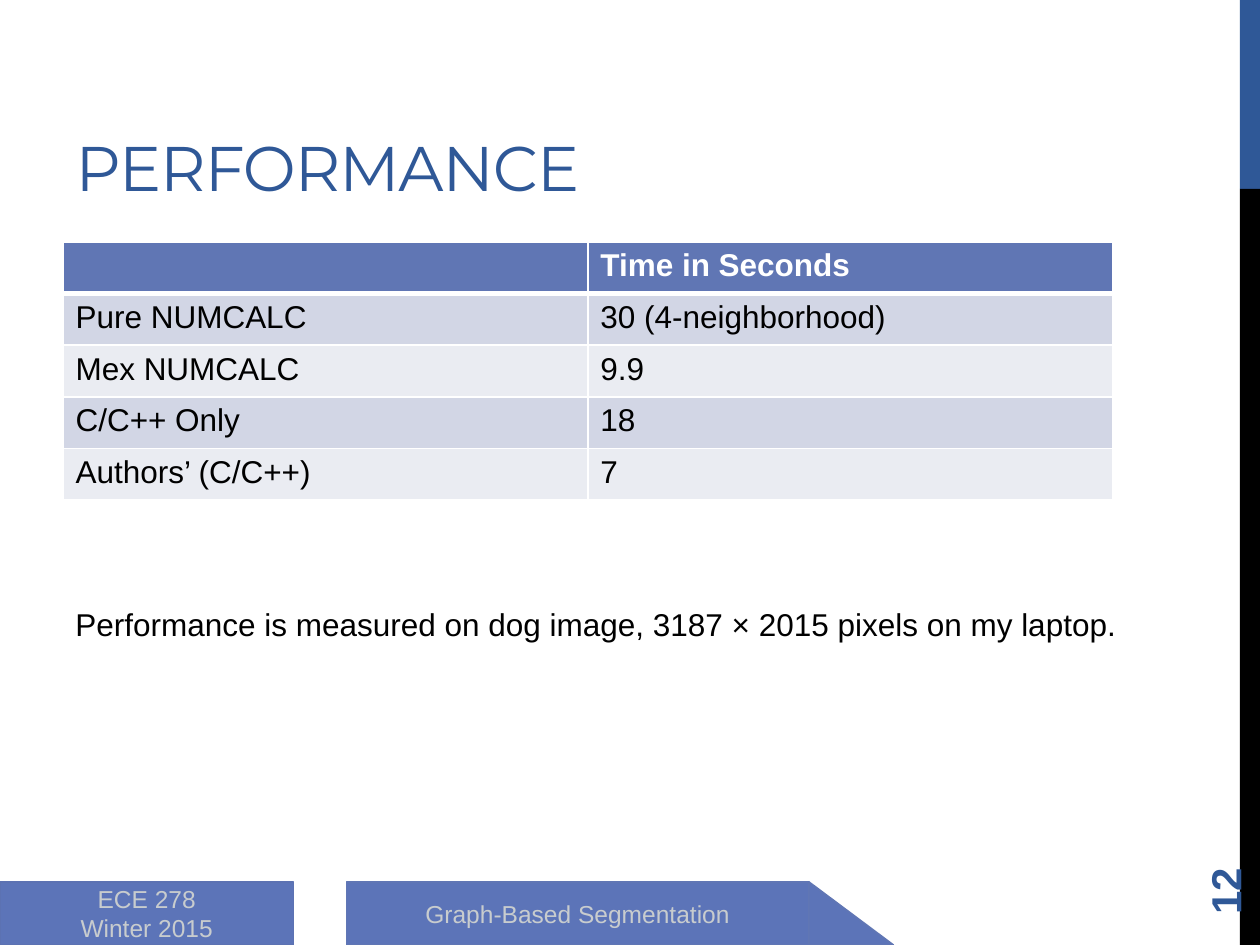
from dataclasses import dataclass

from lxml.etree import SubElement as Sub
from pptx import Presentation
from pptx.dml.color import RGBColor as Rgb
from pptx.enum.shapes import MSO_SHAPE as Kind
from pptx.enum.text import MSO_ANCHOR as Anchor, PP_ALIGN as Align
from pptx.oxml.ns import qn
from pptx.util import Inches, Pt


@dataclass(frozen=True)
class Theme:
    blue: str = "2F5897"
    black: str = "000000"
    white: str = "FFFFFF"
    head: str = "6076B4"
    bands: tuple = ("D2D6E5", "EAECF2")
    foot: str = "5C74B8"
    edge: str = "5C72B2"
    pale: str = "C8CCCE"
    face: str = "Arial"
    show: str = "Montserrat"
    title: int = 36
    page: int = 24
    body: int = 18
    small: int = 14


@dataclass(frozen=True)
class Block:
    left: float
    top: float
    wide: float
    high: float
    fill: str
    line: str = ""
    text: str = ""
    kind: Kind = Kind.RECTANGLE


T = Theme()
BLOCKS = (
    # Side bar
    Block(9.84, 0, 0.16, 1.5, T.blue),
    Block(9.84, 1.5, 0.16, 6, T.black),
    # Footer
    Block(0, 7, 2.33, 0.5, T.foot, T.edge, "ECE 278\nWinter 2015"),
    Block(2.75, 7, 3.67, 0.5, T.foot, T.head, "Graph-Based Segmentation"),
    Block(6.42, 7, 0.67, 0.5, T.foot, T.head, kind=Kind.RIGHT_TRIANGLE),
)
ROWS = (
    ("", "Time in Seconds"),
    ("Pure NUMCALC", "30 (4-neighborhood)"),
    ("Mex NUMCALC", "9.9"),
    ("C/C++ Only", "18"),
    ("Authors’ (C/C++)", "7"),
)


def write(frame, text: str, *, size: int = T.body, color: str = T.black,
          face: str = T.face, bold: bool = False, align=Align.LEFT,
          track: int = 0) -> None:
    """Fill a text frame, one paragraph a line."""
    frame.text = text
    for para in frame.paragraphs:
        para.alignment = align
        for font in (para.font, *(run.font for run in para.runs)):
            font.size, font.name, font.bold = Pt(size), face, bold
            font.color.rgb = Rgb.from_string(color)
        for run in para.runs:
            if track:
                run.font._element.set("spc", str(track))


def draw(slide, block: Block) -> None:
    shape = slide.shapes.add_shape(
        block.kind, Inches(block.left), Inches(block.top),
        Inches(block.wide), Inches(block.high))
    shape.shadow.inherit = False
    shape.fill.solid()
    shape.fill.fore_color.rgb = Rgb.from_string(block.fill)
    if block.line:
        shape.line.color.rgb = Rgb.from_string(block.line)
        shape.line.width = Pt(1)
    else:
        shape.line.fill.background()
    if block.text:
        shape.text_frame.vertical_anchor = Anchor.MIDDLE
        write(shape.text_frame, block.text, size=T.small, color=T.pale,
              align=Align.CENTER)


def label(slide, left: float, top: float, wide: float, high: float):
    return slide.shapes.add_textbox(
        Inches(left), Inches(top), Inches(wide), Inches(high))


def rule(cell, side: str, width: float) -> None:
    """Give one side of a cell a white border."""
    line = Sub(cell._tc.get_or_add_tcPr(), qn(f"a:ln{side}"), w=str(Pt(width)))
    fill = Sub(line, qn("a:solidFill"))
    Sub(fill, qn("a:srgbClr"), val=T.white)


def chart_rows(slide, rows: tuple) -> None:
    high = 0.41
    grid = slide.shapes.add_table(
        len(rows), 2, Inches(0.5), Inches(1.92), Inches(8.33),
        Inches(high * len(rows))).table
    for r, row in enumerate(rows):
        grid.rows[r].height = Inches(high)
        for c, text in enumerate(row):
            cell = grid.cell(r, c)
            for side in "LRTB":
                thick = (r, side) in ((0, "B"), (1, "T"))
                rule(cell, side, 3 if thick else 1)
            cell.fill.solid()
            cell.fill.fore_color.rgb = Rgb.from_string(
                T.bands[(r - 1) % 2] if r else T.head)
            write(cell.text_frame, text, bold=r == 0,
                  color=T.black if r else T.white)


def main() -> None:
    deck = Presentation()
    deck.slide_width, deck.slide_height = Inches(10), Inches(7.5)
    slide = deck.slides.add_slide(deck.slide_layouts[5])

    # Title
    title = slide.shapes.title
    title.left, title.top = Inches(0.5), Inches(0.17)
    title.width, title.height = Inches(6.33), Inches(1.5)
    title.text_frame.vertical_anchor = Anchor.BOTTOM
    write(title.text_frame, "PERFORMANCE", size=T.title, color=T.blue,
          face=T.show, track=-60)

    # Bars, footer and table
    for block in BLOCKS:
        draw(slide, block)
    chart_rows(slide, ROWS)

    # Page number, read upward
    page = label(slide, 9, 6.44, 1.44, 0.4)
    page.rotation = 270
    page.text_frame.word_wrap = True
    page.text_frame.vertical_anchor = Anchor.MIDDLE
    write(page.text_frame, "12", size=T.page, color=T.blue, bold=True)

    # Remark below the table
    note = label(slide, 0.5, 4.75, 8.49, 0.4)
    note.text_frame.word_wrap = False
    write(note.text_frame, "Performance is measured on dog image, "
          "3187 × 2015 pixels on my laptop.")

    deck.save("out.pptx")


if __name__ == "__main__":
    main()
